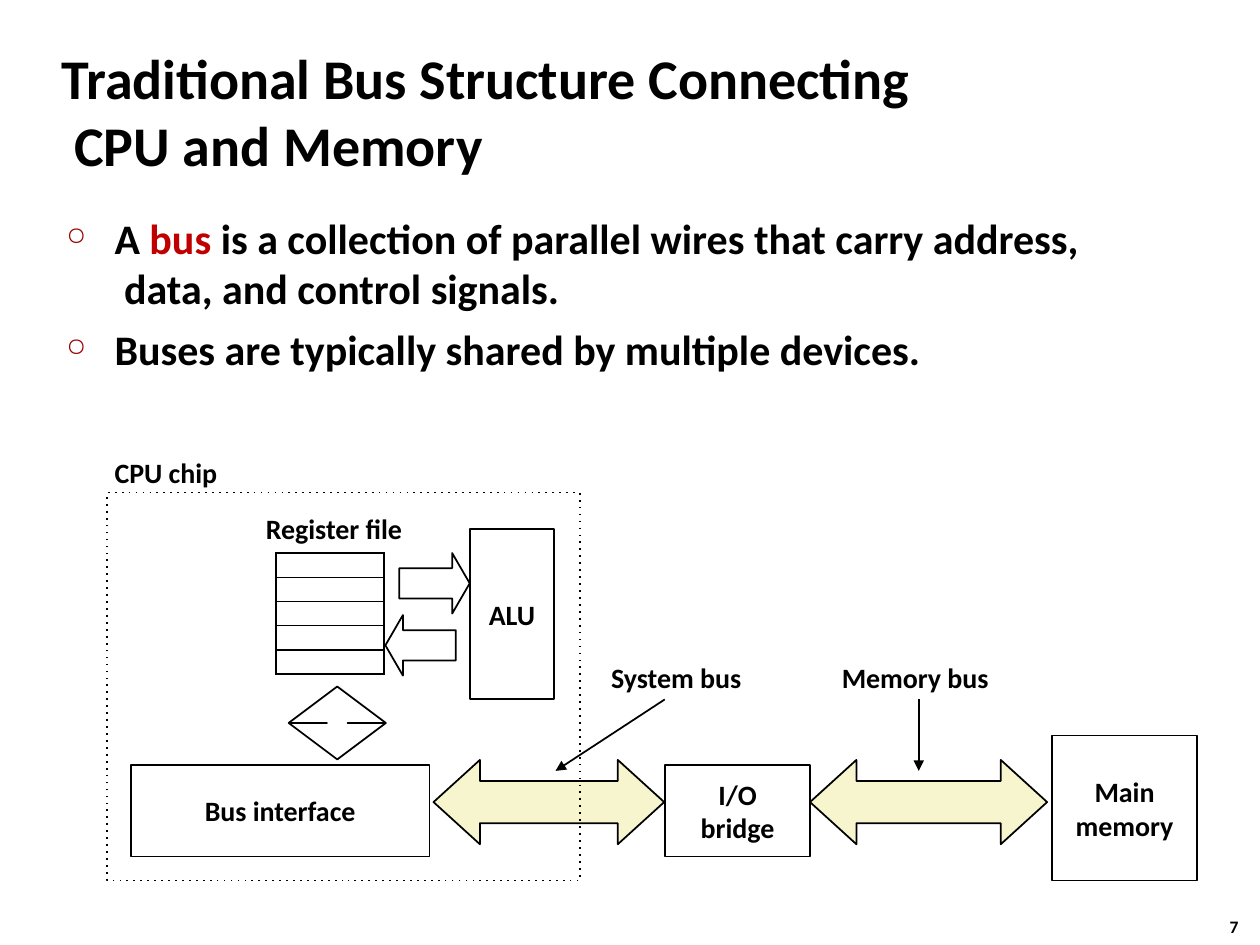
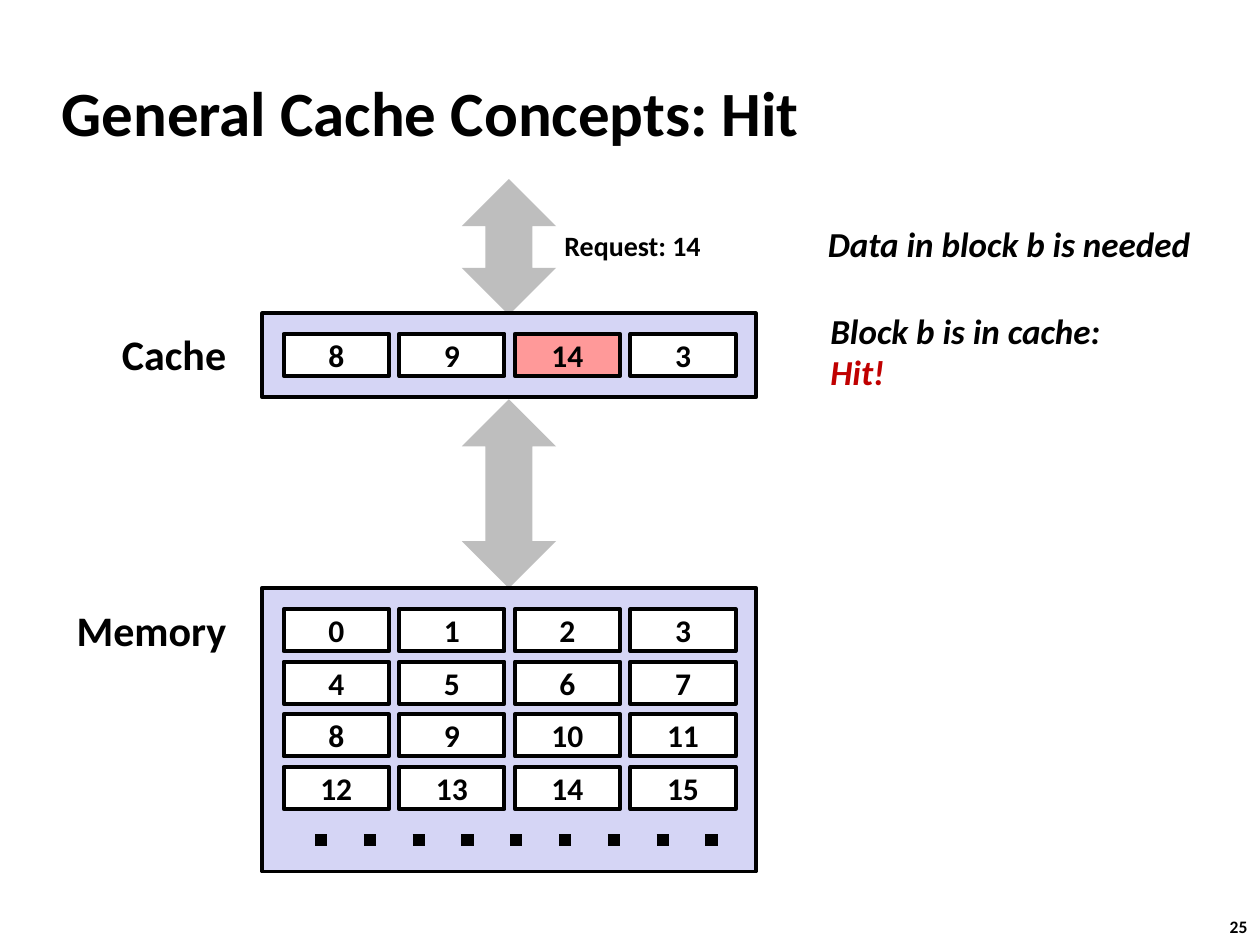
import pptx
import pptx.util
import pptx.dml.color
import pptx.enum.dml
import pptx.enum.shapes
import pptx.enum.text
import pptx.oxml
import pptx.oxml.ns
from lxml import etree

Cm = pptx.util.Cm
Pt = pptx.util.Pt
qn = pptx.oxml.ns.qn
SHAPE = pptx.enum.shapes.MSO_SHAPE
ALIGN = pptx.enum.text.PP_ALIGN
ANCHOR = pptx.enum.text.MSO_ANCHOR

COLORS = {
    "text": "000000",
    "paper": "FFFFFF",
    "accent": "C00000",
    "bullet": "990000",
    "bus": "F7F5CD",
    "store": "D5D5F5",
    "hit": "FF9999",
    "flow": "BEBEBE",
}
FONT = "Calibri"


def rgb(name):
    return pptx.dml.color.RGBColor.from_string(COLORS[name])


def set_values(target, values):
    for name, value in values.items():
        setattr(target, name, value)


class Deck:
    def __init__(self):
        self.presentation = pptx.Presentation()
        set_values(self.presentation, {"slide_width": Cm(25.4), "slide_height": Cm(19.05)})
        self.slide = None

    def new_slide(self, title, number, title_top, title_size):
        self.slide = self.presentation.slides.add_slide(self.presentation.slide_layouts[6])
        self.text(1.24, title_top, 22, 2.7, [title], size=title_size)
        self.text(24.79, 18.52, 0.55, 0.43, [number], size=10, line_spacing=Pt(10.4))

    def fill_paragraph(self, paragraph, content, size, italic=False, **paragraph_format):
        set_values(paragraph, paragraph_format)
        runs = [(content, "text")] if isinstance(content, str) else content
        for text, color in runs:
            for index, line in enumerate(text.split("\n")):
                if index:
                    paragraph.add_line_break()
                run = paragraph.add_run()
                run.text = line
                set_values(run.font, {"name": FONT, "size": Pt(size), "bold": True, "italic": italic})
                run.font.color.rgb = rgb(color)

    def prepare_frame(self, frame, anchor):
        set_values(frame, {
            "word_wrap": True, "vertical_anchor": anchor,
            "margin_left": 0, "margin_right": 0, "margin_top": 0, "margin_bottom": 0,
        })

    def text(self, left, top, width, height, lines, **text_format):
        box = self.slide.shapes.add_textbox(Cm(left), Cm(top), Cm(width), Cm(height))
        frame = box.text_frame
        self.prepare_frame(frame, ANCHOR.TOP)
        for index, line in enumerate(lines):
            paragraph = frame.add_paragraph() if index else frame.paragraphs[0]
            self.fill_paragraph(paragraph, line, **text_format)
        return frame

    def label(self, left, top, text, size=16, **text_format):
        self.text(left, top, 8, 0.75, [text], size=size, **text_format)

    def bullets(self, left, top, width, height, lines, size, gap):
        frame = self.text(left, top, width, height, lines, size=size)
        for index, paragraph in enumerate(frame.paragraphs):
            if index:
                paragraph.space_before = Pt(gap)
            properties = paragraph._p.get_or_add_pPr()
            indents = {"marL": Cm(0.99), "indent": -Cm(0.97)}
            for name, value in indents.items():
                properties.set(name, str(int(value)))
            color = etree.SubElement(properties, qn("a:buClr"))
            etree.SubElement(color, qn("a:srgbClr"), val=COLORS["bullet"])
            etree.SubElement(properties, qn("a:buSzPct"), val="60000")
            etree.SubElement(properties, qn("a:buChar"), char="○")

    def shape(self, kind, left, top, width, height, fill=None, line=1.0,
              text="", size=16, adjustments=()):
        shape = self.slide.shapes.add_shape(kind, Cm(left), Cm(top), Cm(width), Cm(height))
        shape.shadow.inherit = False
        for index, value in enumerate(adjustments):
            shape.adjustments[index] = value
        if fill:
            shape.fill.solid()
            shape.fill.fore_color.rgb = rgb(fill)
        else:
            shape.fill.background()
        if line:
            shape.line.color.rgb = rgb("text")
            shape.line.width = Pt(line)
        else:
            shape.line.fill.background()
        if text:
            self.prepare_frame(shape.text_frame, ANCHOR.MIDDLE)
            self.fill_paragraph(shape.text_frame.paragraphs[0], text, size,
                                alignment=ALIGN.CENTER)
        return shape

    def box(self, left, top, width, height, text="", **style):
        return self.shape(SHAPE.RECTANGLE, left, top, width, height, text=text, **style)

    def dot(self, outlined):
        outlined.line.dash_style = pptx.enum.dml.MSO_LINE.ROUND_DOT
        outlined.element.find(".//" + qn("a:prstDash")).set("val", "dot")

    def connector(self, start, end, width=1.0, arrow=False):
        points = [Cm(value) for value in (*start, *end)]
        connector = self.slide.shapes.add_connector(
            pptx.enum.shapes.MSO_CONNECTOR.STRAIGHT, *points)
        connector.line.color.rgb = rgb("text")
        connector.line.width = Pt(width)
        properties = connector.element.spPr
        if arrow:
            etree.SubElement(properties.find(qn("a:ln")), qn("a:tailEnd"), type="triangle")
        etree.SubElement(properties, qn("a:effectLst"))
        return connector

    def empty_table(self, left, top, width, height, row_count):
        frame = self.slide.shapes.add_table(
            row_count, 1, Cm(left), Cm(top), Cm(width), Cm(height))
        table = frame.table
        set_values(table, {"first_row": False, "horz_banding": False})
        for row in table.rows:
            cell = row.cells[0]
            set_values(cell, {"margin_left": 0, "margin_right": 0,
                              "margin_top": 0, "margin_bottom": 0})
            paragraph = cell.text_frame.paragraphs[0]
            etree.SubElement(paragraph._p, qn("a:endParaRPr"), sz="600")
            properties = cell._tc.get_or_add_tcPr()
            for side in ("lnL", "lnR", "lnT", "lnB"):
                border = etree.SubElement(properties, qn("a:" + side), w=str(int(Pt(1))))
                fill = etree.SubElement(border, qn("a:solidFill"))
                etree.SubElement(fill, qn("a:srgbClr"), val=COLORS["text"])
            cell.fill.background()

    def block_grid(self, top, rows, hit=None):
        for row_index, row in enumerate(rows):
            for column_index, number in enumerate(row):
                self.box(5.72 + 2.33 * column_index, top + 1.06 * row_index, 2.12, 0.85,
                         str(number), size=18, line=2.28,
                         fill="hit" if number == hit else "paper")


def build_bus_slide(deck):
    deck.new_slide("Traditional Bus Structure Connecting\n CPU and Memory", "7", 0.88, 32)
    deck.bullets(1.32, 4.28, 21.5, 3.6, [
        [("A ", "text"), ("bus ", "accent"),
         ("is a collection of parallel wires that carry address,\n data, and control signals.",
          "text")],
        "Buses are typically shared by multiple devices.",
    ], size=24, gap=5.8)

    deck.box(21.21, 14.83, 2.92, 2.92, "Main\nmemory")
    deck.box(13.41, 15.42, 2.92, 1.85, "I/O\nbridge")
    deck.box(2.64, 15.42, 6.02, 1.85, "Bus interface")
    deck.box(9.47, 10.67, 1.7, 3.43, "ALU")
    for left, width in ((8.74, 4.65), (16.33, 4.78)):
        deck.shape(SHAPE.LEFT_RIGHT_ARROW, left, 15.32, width, 1.7,
                   fill="bus", adjustments=(0.5, 0.55))

    deck.empty_table(5.56, 11.15, 2.18, 2.44, row_count=5)
    deck.shape(SHAPE.RIGHT_ARROW, 8.05, 11.15, 1.42, 1.22, adjustments=(0.5, 0.29))
    deck.shape(SHAPE.LEFT_ARROW, 7.77, 12.4, 1.42, 1.22, adjustments=(0.5, 0.29))
    deck.shape(SHAPE.UP_DOWN_ARROW, 5.82, 13.84, 1.96, 1.47, adjustments=(0.5, 0.21))
    chip = deck.box(2.16, 9.93, 9.53, 7.82)
    deck.dot(chip)

    deck.label(2.31, 9.18, "CPU chip")
    deck.label(5.36, 10.32, "Register file")
    deck.label(12.32, 13.32, "System bus")
    deck.label(16.97, 13.32, "Memory bus")
    deck.connector((13.4, 14.1), (11.2, 15.54), arrow=True)
    deck.connector((18.52, 14.1), (18.52, 15.54), arrow=True)


def build_cache_slide(deck):
    deck.new_slide("General Cache Concepts: Hit", "25", 1.49, 36)
    for top, height in ((3.61, 2.74), (8.05, 3.81)):
        deck.shape(SHAPE.UP_DOWN_ARROW, 9.31, top, 1.9, height,
                   fill="flow", line=None, adjustments=(0.5, 0.5))
    for top, height in ((6.32, 1.69), (11.85, 5.72)):
        deck.box(5.29, top, 9.95, height, fill="store", line=2.28)
    deck.block_grid(6.73, [[8, 9, 14, 3]], hit=14)
    deck.block_grid(12.28, [range(first, first + 4) for first in range(0, 16, 4)])
    more_blocks = deck.connector((6.35, 16.93), (14.82, 16.93), width=6.96)
    deck.dot(more_blocks)

    for top, name in ((6.62, "Cache"), (12.18, "Memory")):
        deck.text(0.6, top, 3.96, 1.05, [name], size=24, alignment=ALIGN.RIGHT)
    deck.label(11.38, 4.61, "Request: 14")
    deck.label(16.69, 4.49, "Data in block b is needed", size=20, italic=True)
    deck.text(16.74, 6.24, 7, 1.75, ["Block b is in cache:", [("Hit!", "accent")]],
              size=20, italic=True, line_spacing=Pt(23.8))


def main():
    deck = Deck()
    build_bus_slide(deck)
    build_cache_slide(deck)
    deck.presentation.save("out.pptx")


if __name__ == "__main__":
    main()
